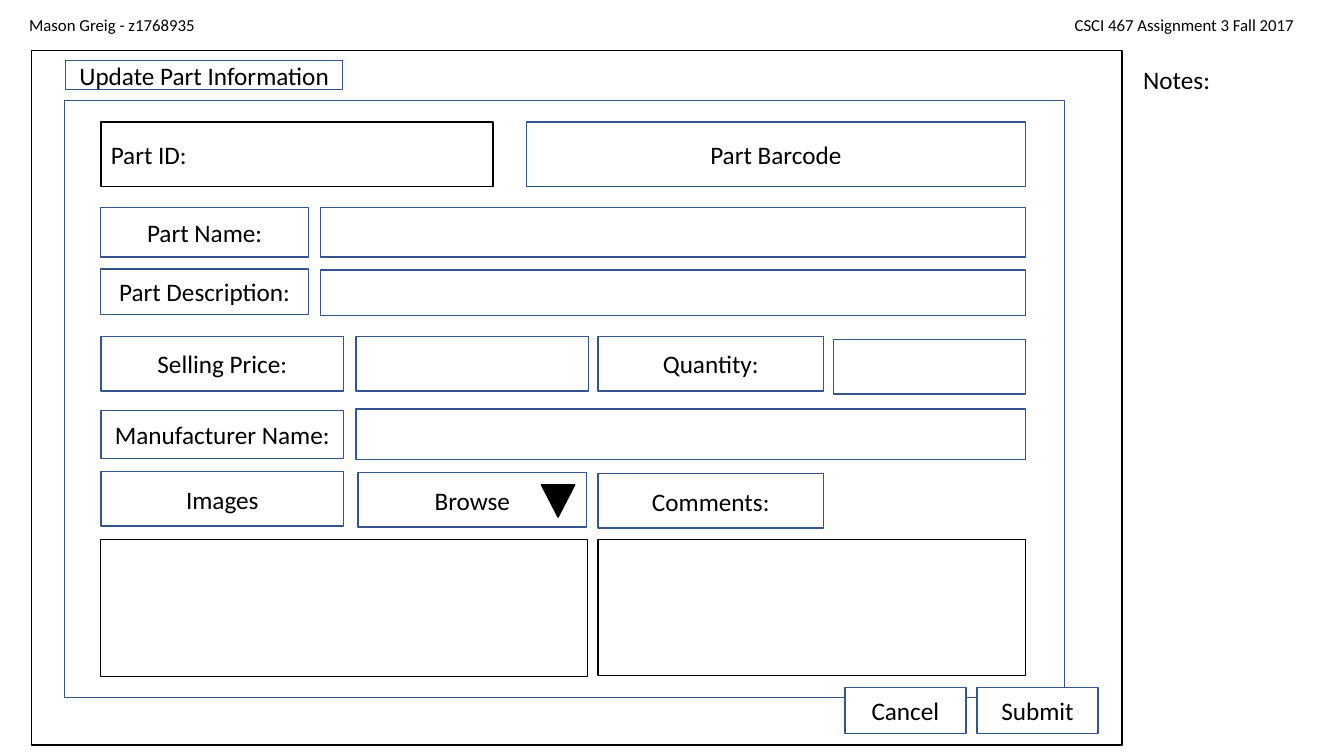
from pptx import Presentation, util as u
from pptx.dml.color import RGBColor
from pptx.enum import shapes, text

BLACK = RGBColor(0, 0, 0)
WHITE = RGBColor(255, 255, 255)
BLUE = RGBColor(0x32, 0x54, 0x91)
WIDE, HIGH = 133.3, 75
CELL = u.Inches(0.1)
LEFT, CENTER = text.PP_ALIGN.LEFT, text.PP_ALIGN.CENTER
FIRST, MID, LAST = 3.6, 52.9, 95.3


def place(box):
    """Turn a box in grid cells into slide lengths."""
    return [round(n * CELL) for n in box]


def write(shape, words, size=18, align=CENTER, wrap=True):
    """Put one styled line of text in a shape."""
    frame = shape.text_frame
    frame.text = words
    look = {"word_wrap": wrap, "auto_size": text.MSO_AUTO_SIZE.NONE,
            "vertical_anchor": text.MSO_ANCHOR.MIDDLE,
            "margin_left": CELL, "margin_right": CELL,
            "margin_top": CELL // 2, "margin_bottom": CELL // 2}
    for name, value in look.items():
        setattr(frame, name, value)
    line = frame.paragraphs[0]
    line.alignment = align
    for name, value in {"name": "Calibri", "size": u.Pt(size), "bold": False}.items():
        setattr(line.font, name, value)
    line.font.color.rgb = BLACK


def paint(shape, edge, fill=WHITE):
    """Give a shape its fill and thin outline."""
    shape.fill.solid()
    shape.fill.fore_color.rgb = fill
    shape.line.color.rgb = edge
    shape.line.width = u.Pt(1)


def draw(slide, box, words="", edge=BLUE, align=CENTER,
         kind=shapes.MSO_SHAPE.RECTANGLE, fill=WHITE):
    """Add an outlined shape with an optional label."""
    shape = slide.shapes.add_shape(kind, *place(box))
    shape.shadow.inherit = False
    paint(shape, edge, fill)
    if words:
        write(shape, words, align=align)
    return shape


def label(slide, box, words, size):
    """Add a plain line of text."""
    write(slide.shapes.add_textbox(*place(box)), words, size, LEFT, False)


def header(slide, box):
    """Add the author and course lines."""
    x, y, w, h = box
    label(slide, (x, y, 19.4, h), "Mason Greig - z1768935", 12)
    label(slide, (x + w - 25.4, y, 25.4, h), "CSCI 467 Assignment 3 Fall 2017", 12)


def heading(slide, box):
    """Place the title above the frames."""
    title = slide.shapes.title
    for name, value in zip(("left", "top", "width", "height"), place(box)):
        setattr(title, name, value)
    paint(title, BLUE)
    write(title, "Update Part Information")
    slide.shapes._spTree.append(title._element)


def form(slide, box):
    """Draw the part form with rows of labels and fields."""
    x, y, w, h = box
    draw(slide, box)
    rows = [
        (2.1, 6.4, [(FIRST, 42.5, "Part ID:", BLACK, LEFT),
                    (45.8, LAST, "Part Barcode")]),
        (10.6, 4.9, [(FIRST, 24.2, "Part Name:"), (25.4, LAST)]),
        (16.7, 4.5, [(FIRST, 24.2, "Part Description:")]),
        (16.8, 4.5, [(25.4, LAST)]),
        (23.4, 5.4, [(FIRST, 27.7, "Selling Price:"), (28.9, 52),
                     (MID, 75.3, "Quantity:")]),
        (23.7, 5.4, [(76.3, LAST)]),
        (30.7, 4.8, [(FIRST, 27.7, "Manufacturer Name:")]),
        (30.6, 5, [(28.9, LAST)]),
        (36.8, 5.4, [(FIRST, 27.7, "Images")]),
        (36.9, 5.4, [(29.1, 51.8, "Browse")]),
        (37, 5.4, [(MID, 75.3, "Comments:")]),
        (43.5, 13.6, [(FIRST, 51.9, "", BLACK)]),
        (43.5, 13.5, [(MID, LAST, "", BLACK)]),
    ]
    for top, tall, cells in rows:
        for start, end, *rest in cells:
            draw(slide, (x + start, y + top, end - start, tall), *rest)
    arrow = draw(slide, (x + 47.3, y + 38.1, 3.3, 3.2), edge=BLACK, fill=BLACK,
                 kind=shapes.MSO_SHAPE.ISOSCELES_TRIANGLE)
    arrow.rotation = 180


def buttons(slide, box):
    """Draw equal buttons across the box."""
    x, y, w, h = box
    names, gap = ("Cancel", "Submit"), 1.1
    wide = (w - gap * (len(names) - 1)) / len(names)
    for i, name in enumerate(names):
        draw(slide, (x + i * (wide + gap), y, wide, h), name)


def main():
    """Build and save the slide."""
    deck = Presentation()
    deck.slide_width, deck.slide_height = place((WIDE, HIGH))
    slide = deck.slides.add_slide(deck.slide_layouts[5])
    header(slide, (1.9, 1, 129.1, 3))
    draw(slide, (3.1, 5, 108.2, 68.9), edge=BLACK)
    form(slide, (6.4, 10, 99.2, 59.2))
    heading(slide, (6.5, 6, 27.5, 2.9))
    buttons(slide, (83.8, 68.2, 25.1, 4.6))
    label(slide, (112.4, 5.9, 9.1, 4), "Notes:", 18)
    deck.save("out.pptx")


main()
